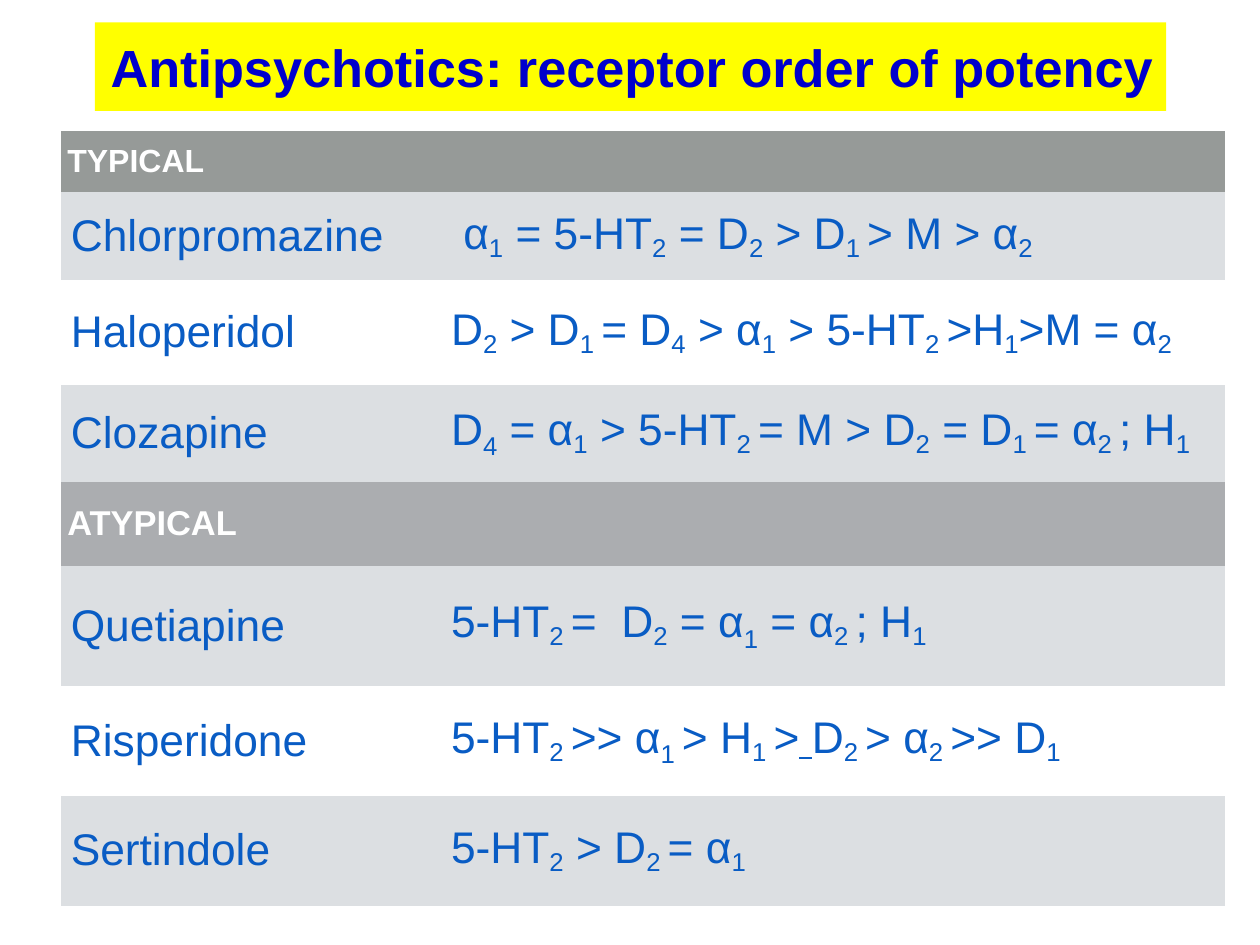
from dataclasses import dataclass
from typing import Any

from pptx import Presentation
from pptx.dml.color import RGBColor
from pptx.enum.text import MSO_ANCHOR, MSO_AUTO_SIZE, PP_ALIGN
from pptx.oxml.ns import qn
from pptx.util import Cm, Pt

MIDDLE = MSO_ANCHOR.MIDDLE
NO_FIT = MSO_AUTO_SIZE.NONE
CENTER = PP_ALIGN.CENTER

TITLE_ONLY = 5
PLAIN_TABLE = "{2D5ABB26-0587-4C30-8999-92F81FD0307C}"
BLUE, WHITE, PALE = "095CC4", "FFFFFF", "DCDFE2"
BASELINES = {"_": "-18000", "~": "-23000"}
UNDERLINE = "^"


@dataclass
class Row:
    height: float
    fill: str
    name: str
    order: str = ""
    size: float = 36
    color: str = BLUE
    bold: bool = False
    heading: bool = False


ROWS = [
    Row(1.75, "969A98", "TYPICAL", size=26, color=WHITE, bold=True, heading=True),
    Row(2.51, PALE, "Chlorpromazine",
        " α|_1| = 5-HT|_2| = D|_2| > D|_1 |> M > α|_2"),
    Row(3.02, WHITE, "Haloperidol",
        "D|_2| > D|_1 |= D|_4| > α|_1| > 5-HT|_2 |>H|_1|>M = α|_2"),
    Row(2.77, PALE, "Clozapine",
        "D|~4| = α|_1| > 5-HT|_2 |= M > D|_2| = D|_1 |= α|_2 |; H|_1"),
    Row(2.41, "ABADB0", "ATYPICAL", size=28, color=WHITE, bold=True, heading=True),
    Row(3.45, PALE, "Quetiapine",
        "5-HT|_2 |=  D|_2| = α|~1| = α|_2 |; H|_1"),
    Row(3.15, WHITE, "Risperidone",
        "5-HT|_2 |>> α|~1 |> H|_1 |>|^ |D|_2 |> α|_2 |>> D|_1"),
    Row(3.15, PALE, "Sertindole",
        "5-HT|_2| > D|_2 |= α|_1"),
]


def rgb(value: str) -> RGBColor:
    return RGBColor.from_string(value)


def apply(target: Any, values: dict[str, Any]) -> None:
    for name, value in values.items():
        setattr(target, name, value)


def fill_solid(target: Any, color: str) -> None:
    target.fill.solid()
    target.fill.fore_color.rgb = rgb(color)


def add_run(p: Any, text: str, size: float, color: str, bold: bool) -> Any:
    r = p.add_run()
    r.text = text
    apply(r.font, {"name": "Arial", "size": Pt(size), "bold": bold})
    r.font.color.rgb = rgb(color)
    return r


def add_marked_text(p: Any, text: str, row: Row) -> None:
    for piece in text.split("|"):
        mark = piece[0]
        marked = mark in BASELINES or mark == UNDERLINE
        r = add_run(p, piece[1:] if marked else piece, row.size, row.color, row.bold)
        if mark in BASELINES:
            r.font._element.set("baseline", BASELINES[mark])
        elif mark == UNDERLINE:
            r.font.underline = True


def write_cell(cell: Any, text: str, row: Row) -> None:
    fill_solid(cell, row.fill)
    margins = ("margin_left", "margin_top", "margin_right", "margin_bottom")
    apply(cell, {"vertical_anchor": MIDDLE, **dict.fromkeys(margins, Cm(0.18))})
    if not text:
        return
    p = cell.text_frame.paragraphs[0]
    if not row.heading:
        p.space_before = Pt(7)
        pPr = p._p.get_or_add_pPr()
        pPr.set("marL", str(Cm(1.07)))
        pPr.set("indent", str(Cm(-0.97)))
    add_marked_text(p, text, row)


def add_title(s: Any, text: str) -> None:
    sp = s.shapes.title
    apply(sp, {"left": Cm(2.72), "top": Cm(0.64), "width": Cm(30.71), "height": Cm(2.54)})
    fill_solid(sp, "FFFF00")
    tf = sp.text_frame
    margins = ("margin_left", "margin_top", "margin_right", "margin_bottom")
    apply(tf, {"word_wrap": True, "auto_size": NO_FIT, "vertical_anchor": MIDDLE,
               **dict.fromkeys(margins, Cm(0.2))})
    p = tf.paragraphs[0]
    p.alignment = CENTER
    p._p.get_or_add_pPr().set("marL", str(Cm(0.08)))
    add_run(p, text, 42.5, "0000CC", True)


def add_potency_table(s: Any, rows: list[Row]) -> None:
    widths = (10.9, 22.48)
    height = sum(row.height for row in rows)
    frame = s.shapes.add_table(len(rows), len(widths), Cm(1.75), Cm(3.76),
                               Cm(sum(widths)), Cm(height))
    table = frame.table
    apply(table, {"first_row": False, "horz_banding": False})
    table._tbl.tblPr.find(qn("a:tableStyleId")).text = PLAIN_TABLE
    for column, width in zip(table.columns, widths):
        column.width = Cm(width)
    for i, row in enumerate(rows):
        table.rows[i].height = Cm(row.height)
        for j, text in enumerate((row.name, row.order)):
            write_cell(table.cell(i, j), text, row)


def main() -> None:
    prs = Presentation()
    apply(prs, {"slide_width": Cm(36.12), "slide_height": Cm(27.1)})
    s = prs.slides.add_slide(prs.slide_layouts[TITLE_ONLY])
    add_title(s, "Antipsychotics: receptor order of potency")
    add_potency_table(s, ROWS)
    prs.save("out.pptx")


if __name__ == "__main__":
    main()
